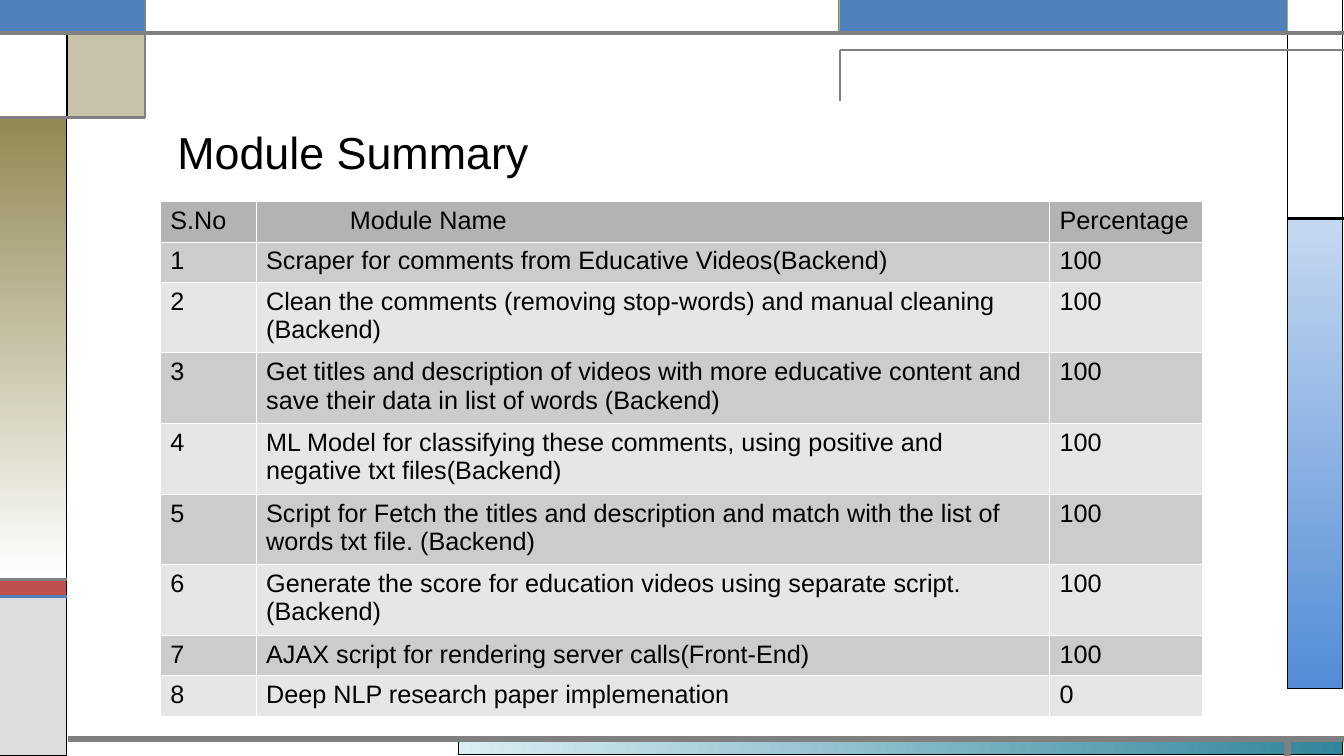
from lxml.etree import SubElement
from pptx import Presentation
from pptx.dml.color import RGBColor
from pptx.enum.shapes import MSO_CONNECTOR, MSO_SHAPE
from pptx.enum.text import MSO_ANCHOR
from pptx.oxml import parse_xml
from pptx.oxml.ns import nsdecls, qn
from pptx.util import Inches, Pt

FONT = "Arial"
BLUE, GREY, BLACK, WHITE = "4F81BD", "808080", "000000", "FFFFFF"
LEFT, RIGHT, EDGE = 0.66, 12.77, 13.33

TITLE = "Module Summary"
HEADER = ("S.No", "Module Name", "Percentage")
MODULES = [
    ("Scraper for comments from Educative Videos(Backend)", 100),
    ("Clean the comments (removing stop-words) and manual cleaning (Backend)", 100),
    ("Get titles and description of videos with more educative content and "
     "save their data in list of words (Backend)", 100),
    ("ML Model for classifying these comments, using positive and negative "
     "txt files(Backend)", 100),
    ("Script for Fetch the titles and description and match with the list of "
     "words txt file. (Backend)", 100),
    ("Generate the score for education videos using separate script. (Backend)", 100),
    ("AJAX script for rendering server calls(Front-End)", 100),
    ("Deep NLP research paper implemenation", 0),
]
COLUMN_WIDTHS = (0.95, 7.87, 1.52)
SHORT_ROW, TALL_ROW, LONG_TEXT = 0.38, 0.66, 60
HEADER_FILL, BANDS = "B3B3B3", ("CCCCCC", "E6E6E6")
NAME_INDENT = 0.83

PANELS = [
    ((4.55, 7.33, 8.77, 0.16), dict(fill=("DAEEF3", "31859B"))),
    ((RIGHT, 2.17, 0.55, 4.66), dict(fill=("C5D8F1", "538CD5"), angle=270)),
    ((0, 5.75, LEFT, 0.16), dict(fill="C0504D")),
    ((0, 5.92, LEFT, 1.58), dict(fill="DDDDDD")),
    ((RIGHT, 0, 0.55, 2.16), dict(fill=WHITE)),
    ((8.33, 0, 4.44, 0.33), dict(fill=BLUE, line="9BBB59")),
    ((0.67, 0.33, 0.77, 0.83), dict(fill="938953", opacity=50)),
    ((0, 1.17, LEFT, 4.58), dict(fill=("938953", WHITE), angle=270)),
    ((0, 0.33, LEFT, 0.83), dict(fill=WHITE)),
    ((0, 0, 1.44, 0.33), dict(fill=BLUE, line=BLUE, width=1.5)),
    ((1.44, 0, 6.88, 0.33), dict(fill=WHITE, line=GREY)),
]
RULES = [
    ((0.67, 7.33, EDGE, 7.33), GREY, 4.5),
    ((RIGHT, 7.33, RIGHT, 7.5), GREY, 4.5),
    ((0, 0.33, EDGE, 0.33), GREY, 3),
    ((8.33, 0.5, EDGE, 0.5), GREY, 1.5),
    ((8.33, 0.5, 8.33, 1), GREY, 1.5),
    ((RIGHT, 2.17, EDGE, 2.17), BLACK, 2.25),
    ((1.44, 0, 1.44, 1.17), GREY, 1.5),
    ((0, 1.17, 1.44, 1.17), GREY, 2.25),
    ((0, 5.75, LEFT, 5.75), GREY, 2.25),
    ((0, 5.92, LEFT, 5.92), BLUE, 2.25),
]


def color(value):
    return RGBColor.from_string(value)


def add_panel(page, place, fill, line=BLACK, width=0.75, angle=0, opacity=None):
    panel = page.shapes.add_shape(MSO_SHAPE.RECTANGLE, *map(Inches, place))
    panel.shadow.inherit = False
    if isinstance(fill, tuple):
        panel.fill.gradient()
        panel.fill.gradient_angle = angle
        for stop, shade in zip(panel.fill.gradient_stops, fill):
            stop.color.rgb = color(shade)
    else:
        panel.fill.solid()
        panel.fill.fore_color.rgb = color(fill)
    if opacity is not None:
        shade = panel.element.spPr.find(qn("a:solidFill")).find(qn("a:srgbClr"))
        SubElement(shade, qn("a:alpha")).set("val", str(opacity * 1000))
    panel.line.color.rgb = color(line)
    panel.line.width = Pt(width)


def add_rule(page, ends, shade, width):
    rule = page.shapes.add_connector(MSO_CONNECTOR.STRAIGHT, *map(Inches, ends))
    rule.line.color.rgb = color(shade)
    rule.line.width = Pt(width)
    SubElement(rule.element.spPr, qn("a:effectLst"))


def write(frame, text, size=18, shade=BLACK):
    span = frame.paragraphs[0].add_run()
    span.text = text
    span.font.name = FONT
    span.font.size = Pt(size)
    span.font.bold = False
    span.font.color.rgb = color(shade)


def add_borders(cell, shade=WHITE, width=0.75):
    properties = cell._tc.get_or_add_tcPr()
    for index, side in enumerate(("lnL", "lnR", "lnT", "lnB")):
        properties.insert(index, parse_xml(
            f'<a:{side} {nsdecls("a")} w="{Pt(width)}"><a:solidFill>'
            f'<a:srgbClr val="{shade}"/></a:solidFill></a:{side}>'))


def add_module_table(page, left, top):
    rows = [HEADER] + [(str(number), name, str(percentage))
                       for number, (name, percentage) in enumerate(MODULES, 1)]
    heights = [TALL_ROW if len(row[1]) > LONG_TEXT else SHORT_ROW for row in rows]
    table = page.shapes.add_table(
        len(rows), len(HEADER), Inches(left), Inches(top),
        Inches(sum(COLUMN_WIDTHS)), Inches(sum(heights))).table
    for column, width in zip(table.columns, COLUMN_WIDTHS):
        column.width = Inches(width)
    for index, (row, height) in enumerate(zip(rows, heights)):
        table.rows[index].height = Inches(height)
        for position, text in enumerate(row):
            cell = table.cell(index, position)
            cell.fill.solid()
            cell.fill.fore_color.rgb = color(BANDS[(index - 1) % 2] if index else HEADER_FILL)
            write(cell.text_frame, text)
            add_borders(cell)
    table.cell(0, 1).margin_left = Inches(0.1 + NAME_INDENT)


deck = Presentation()
deck.slide_width, deck.slide_height = Inches(EDGE), Inches(7.5)
page = deck.slides.add_slide(deck.slide_layouts[6])

for place, style in PANELS:
    add_panel(page, place, **style)
for ends, shade, width in RULES:
    add_rule(page, ends, shade, width)

box = page.shapes.add_textbox(Inches(1.66), Inches(0.58), Inches(10.49), Inches(1.24))
box.text_frame.word_wrap = True
box.text_frame.vertical_anchor = MSO_ANCHOR.BOTTOM
write(box.text_frame, TITLE, size=32)

add_module_table(page, 1.59, 2)

deck.save("out.pptx")
